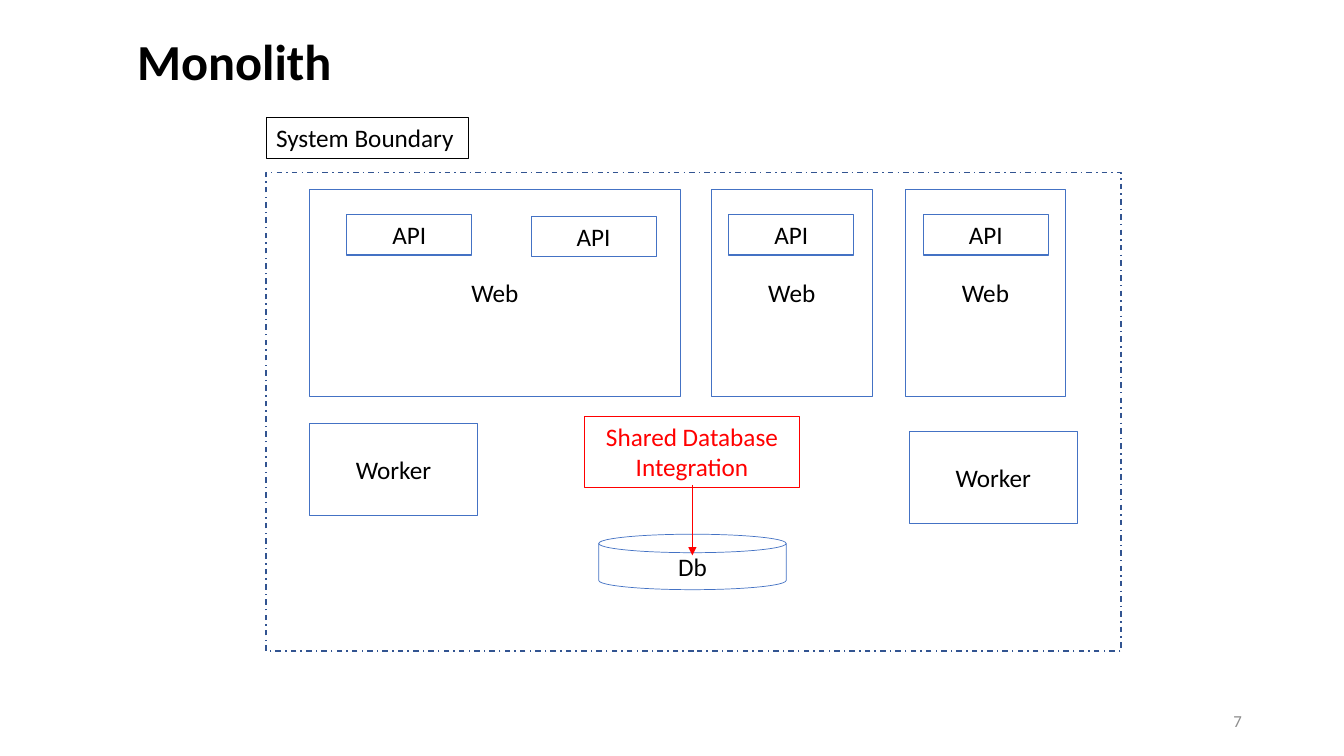
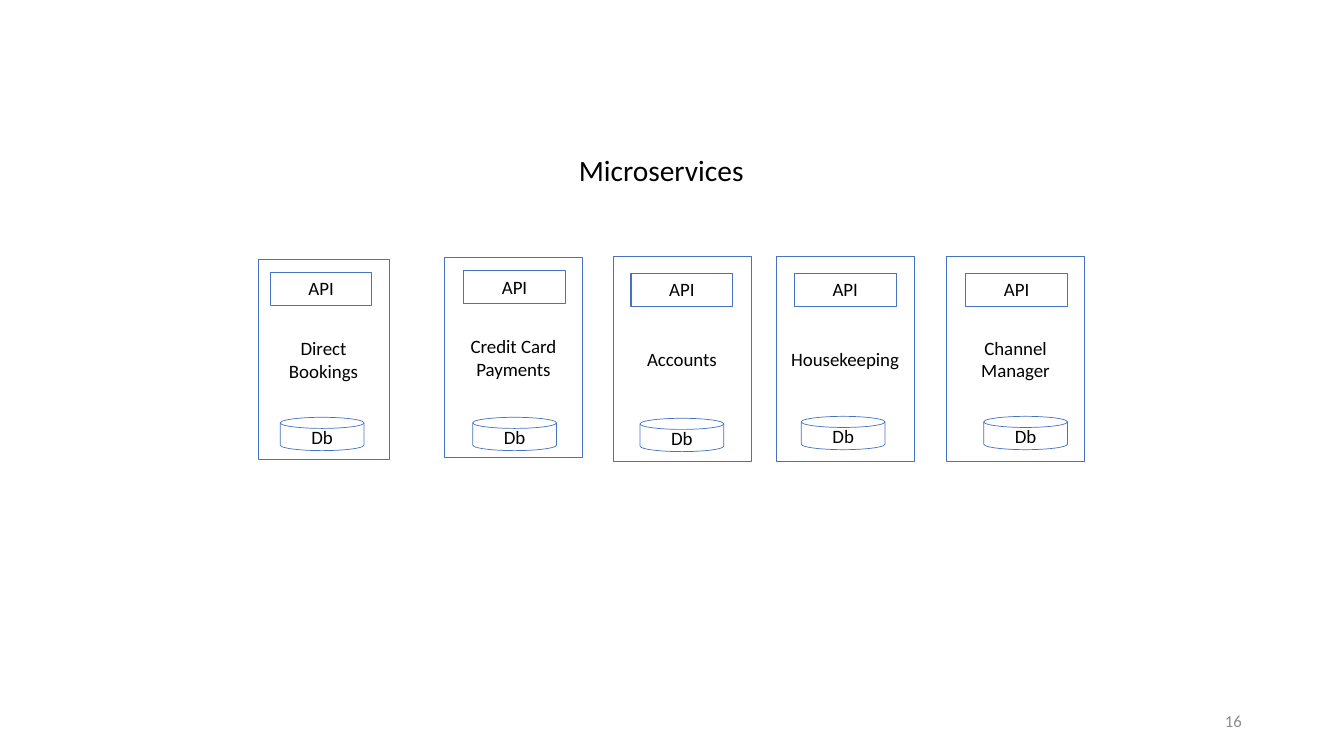
from lxml import etree
from pptx import Presentation
from pptx.dml.color import RGBColor
from pptx.enum.dml import MSO_LINE
from pptx.enum.shapes import MSO_CONNECTOR, MSO_SHAPE
from pptx.enum.text import MSO_ANCHOR, MSO_AUTO_SIZE, PP_ALIGN
from pptx.oxml.ns import qn
from pptx.util import Pt

RECT = MSO_SHAPE.RECTANGLE
DISK = MSO_SHAPE.FLOWCHART_MAGNETIC_DISK
STRAIGHT = MSO_CONNECTOR.STRAIGHT
DASH_DOT = MSO_LINE.DASH_DOT
TOP, MIDDLE = MSO_ANCHOR.TOP, MSO_ANCHOR.MIDDLE
LEFT, CENTER, RIGHT = PP_ALIGN.LEFT, PP_ALIGN.CENTER, PP_ALIGN.RIGHT
NO_FIT = MSO_AUTO_SIZE.NONE

FONT = "Calibri"
BLACK = RGBColor(0x00, 0x00, 0x00)
GRAY = RGBColor(0x8C, 0x8C, 0x8C)
BLUE = RGBColor(0x44, 0x72, 0xC4)
NAVY = RGBColor(0x32, 0x54, 0x91)
RED = RGBColor(0xFF, 0x00, 0x00)

TITLE_ONLY = 5
THIN, MEDIUM = 0.5, 0.75

# Name, then the positions (and size) of the box, its API and its database
SERVICES = [
    ("Direct\nBookings", (184.3, 185, 93.6, 143.3), (193, 194.4), (200.2, 298.1)),
    ("Credit Card\nPayments", (317.5, 183.6, 98.6, 143.3), (331.2, 193), (337.7, 298.1)),
    ("Accounts", (437.8, 182.9, 98.6, 146.9), (450.7, 195.1), (457.2, 298.8)),
    ("Housekeeping", (554.4, 182.9, 98.6, 146.9), (567.4, 195.1), (572.4, 297.4)),
    ("Channel Manager", (676.1, 182.9, 98.6, 146.9), (689.8, 195.1), (702.7, 297.4)),
]


def points(*values):
    return [Pt(v) for v in values]


def write(tf, text, size, color=BLACK, align=CENTER, anchor=MIDDLE, bold=False):
    tf.word_wrap = True
    tf.auto_size = NO_FIT
    tf.vertical_anchor = anchor
    tf.text = text
    for p in tf.paragraphs:
        p.alignment = align
        p.font.name = FONT
        p.font.size = Pt(size)
        p.font.bold = bold
        p.font.color.rgb = color


def add_outline(slide, kind, box, color=BLUE, width=THIN):
    """Add an unfilled shape with a plain outline."""
    sp = slide.shapes.add_shape(kind, *points(*box))
    sp.shadow.inherit = False
    sp.fill.background()
    sp.line.color.rgb = color
    sp.line.width = Pt(width)
    return sp


def add_node(slide, text, box, size, kind=RECT):
    write(add_outline(slide, kind, box).text_frame, text, size)


def add_label(slide, text, box, size, color=BLUE, text_color=BLACK, align=CENTER):
    sp = add_outline(slide, RECT, box, color, MEDIUM)
    write(sp.text_frame, text, size, text_color, align, TOP)


def add_arrow(slide, start, end, color):
    c = slide.shapes.add_connector(STRAIGHT, *points(*start, *end))
    c.line.color.rgb = color
    c.line.width = Pt(THIN)
    sp_pr = c.element.spPr
    etree.SubElement(sp_pr.find(qn("a:ln")), qn("a:tailEnd"), type="triangle")
    etree.SubElement(sp_pr, qn("a:effectLst"))


def add_slide(prs, title, box, size, number, bold=False):
    """Add a slide with its title and page number."""
    slide = prs.slides.add_slide(prs.slide_layouts[TITLE_ONLY])
    sp = slide.shapes.title
    sp.left, sp.top, sp.width, sp.height = points(*box)
    write(sp.text_frame, title, size, anchor=TOP, bold=bold)
    page = slide.shapes.add_textbox(*points(678.2, 500.4, 216, 28.8))
    write(page.text_frame, str(number), 12, GRAY, RIGHT)
    return slide


def build_monolith(prs):
    slide = add_slide(prs, "Monolith", (31.7, 18, 271.4, 51.1), 36, 7, bold=True)
    size = 18
    boundary = add_outline(slide, RECT, (190.1, 123.1, 610.6, 342), NAVY, 1)
    boundary.line.dash_style = DASH_DOT
    add_label(slide, "System Boundary", (190.1, 84.2, 144.7, 28.8), size, BLACK, align=LEFT)

    for x, width in ((221, 265), (508.3, 114.5), (646.6, 114.5)):
        add_node(slide, "Web", (x, 135.4, width, 147.6), size)
    for x, y in ((247.7, 153.4), (379.4, 154.8), (520.6, 153.4), (659.5, 153.4)):
        add_label(slide, "API", (x, y, 89.3, 28.8), size)
    for x, y in ((221, 302.4), (649.4, 308.2)):
        add_node(slide, "Worker", (x, y, 120.2, 65.5), size)

    add_node(slide, "Db", (427.7, 381.6, 133.9, 39.6), size, DISK)
    add_label(slide, "Shared Database Integration", (417.6, 297.4, 153.4, 51.1), size, RED, RED)
    add_arrow(slide, (494.6, 346.3), (494.6, 396.7), RED)


def build_microservices(prs):
    slide = add_slide(prs, "Microservices", (276.5, 105.1, 391.7, 32.4), 21, 16)
    size = 13.5
    for name, box, api, db in SERVICES:
        add_node(slide, name, box, size)
        add_label(slide, "API", (*api, 72.7, 23.8), size)
        add_node(slide, "Db", (*db, 59.8, 23.8), size, DISK)


def main():
    prs = Presentation()
    prs.slide_width, prs.slide_height = points(960, 540)
    build_monolith(prs)
    build_microservices(prs)
    prs.save("out.pptx")


if __name__ == "__main__":
    main()
